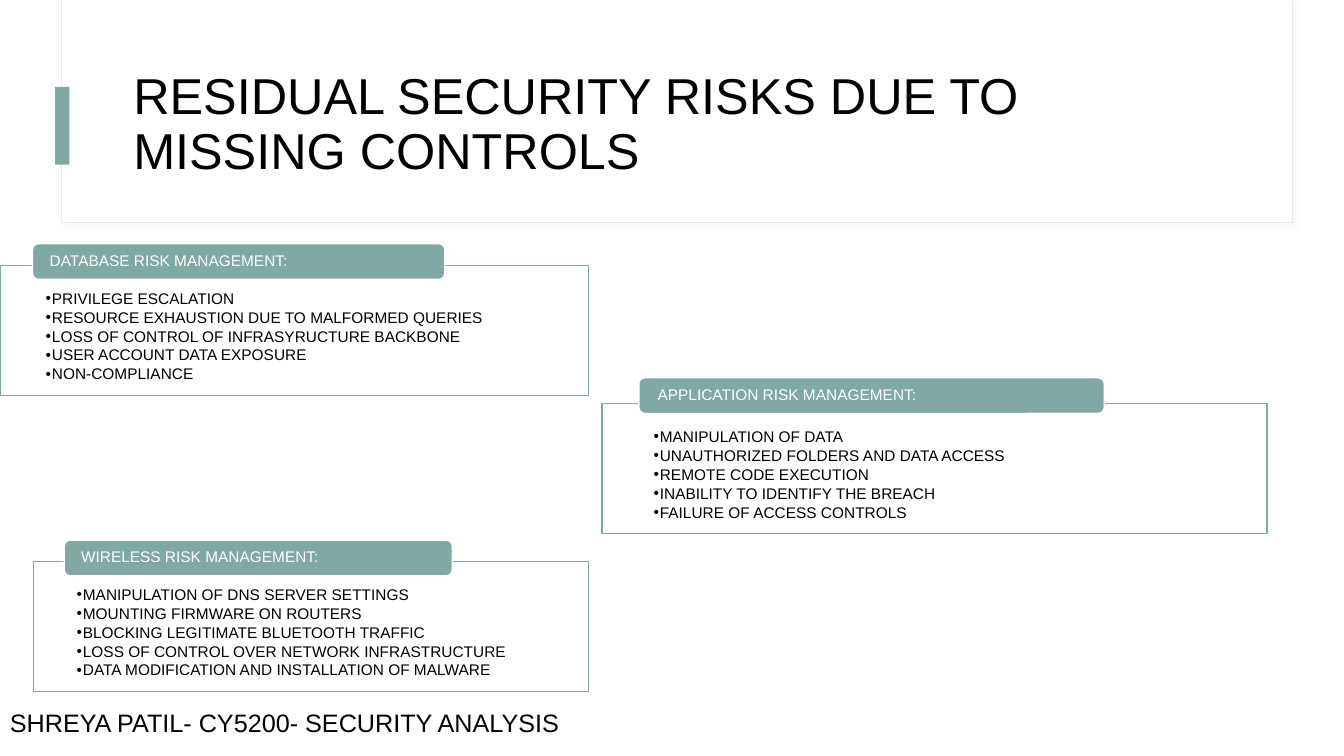
"""Build a slide on residual security risks due to missing controls."""
from lxml import etree
from pptx import Presentation
from pptx.dml.color import RGBColor
from pptx.enum.shapes import MSO_SHAPE
from pptx.enum.text import MSO_ANCHOR, PP_ALIGN
from pptx.oxml import parse_xml
from pptx.util import Cm, Pt

RECT, ROUNDED = MSO_SHAPE.RECTANGLE, MSO_SHAPE.ROUNDED_RECTANGLE
TOP, MIDDLE, LEFT = MSO_ANCHOR.TOP, MSO_ANCHOR.MIDDLE, PP_ALIGN.LEFT
NS = "http://schemas.openxmlformats.org/drawingml/2006/main"
TEAL, WHITE, BLACK, BLUSH = "80A9A4", "FFFFFF", "000000", "F0E5E8"
SHADOW = (
    f'<a:effectLst xmlns:a="{NS}"><a:outerShdw blurRad="50800" dist="38100" dir="2700000">'
    '<a:srgbClr val="D9D9D9"><a:alpha val="15000"/></a:srgbClr></a:outerShdw></a:effectLst>'
)


def add_box(kind, left, top, width, height, fill=None, line=None, weight=1):
    box = slide.shapes.add_shape(kind, Cm(left), Cm(top), Cm(width), Cm(height))
    box.shadow.inherit = False
    for part, colour in ((box.fill, fill), (box.line.fill, line)):
        if colour:
            part.solid()
            part.fore_color.rgb = RGBColor.from_string(colour)
        else:
            part.background()
    if line:
        box.line.width = Pt(weight)
    return box


def write(box, lines, size, colour, anchor, insets, spacing=0.9, after=0, bullet=False):
    frame = box.text_frame
    left, top, right, bottom = map(Cm, insets)
    frame_format = {
        "word_wrap": True, "vertical_anchor": anchor, "margin_left": left,
        "margin_top": top, "margin_right": right, "margin_bottom": bottom,
    }
    for key, value in frame_format.items():
        setattr(frame, key, value)
    for number, line in enumerate(lines):
        paragraph = frame.paragraphs[0] if number == 0 else frame.add_paragraph()
        paragraph.text = line
        paragraph_format = {"alignment": LEFT, "line_spacing": spacing, "space_after": Pt(after)}
        for key, value in paragraph_format.items():
            setattr(paragraph, key, value)
        if bullet:
            paragraph.level = 1
            properties = paragraph._p.get_or_add_pPr()
            properties.set("marL", str(Cm(0.16)))
            properties.set("indent", str(-Cm(0.16)))
            etree.SubElement(properties, f"{{{NS}}}buFont", typeface="Arial")
            etree.SubElement(properties, f"{{{NS}}}buChar", char="•")
        for font in (paragraph.font, paragraph.runs[0].font):
            for key, value in {"name": "Arial", "size": Pt(size)}.items():
                setattr(font, key, value)
            font.color.rgb = RGBColor.from_string(colour)


presentation = Presentation()
presentation.slide_width, presentation.slide_height = Cm(33.87), Cm(19.05)
slide = presentation.slides.add_slide(presentation.slide_layouts[6])

header = add_box(RECT, 1.55, 0, 31.02, 5.61, WHITE, BLUSH, 0.75)
header_properties = header._element.spPr
header_properties.remove(header_properties.find(f"{{{NS}}}effectLst"))
header_properties.append(parse_xml(SHADOW))
add_box(RECT, 1.57, 0, 30.99, 5.59, WHITE)
add_box(RECT, 1.39, 2.19, 0.36, 1.96, TEAL)

PLAIN_INSETS = (0.25, 0.13, 0.25, 0.13)
title = slide.shapes.add_textbox(Cm(3.11), Cm(1.53), Cm(28.24), Cm(3.28))
write(title, ["RESIDUAL SECURITY RISKS DUE TO MISSING CONTROLS"], 36, BLACK, MIDDLE, PLAIN_INSETS)

risk_groups = [
    ("DATABASE RISK MANAGEMENT:", (0, 6.69, 14.83), (0.82, 6.14, 10.39), (1.15, 0.39), [
        "PRIVILEGE ESCALATION",
        "RESOURCE EXHAUSTION DUE TO MALFORMED QUERIES",
        "LOSS OF CONTROL OF INFRASYRUCTURE BACKBONE",
        "USER ACCOUNT DATA EXPOSURE",
        "NON-COMPLIANCE",
    ]),
    ("APPLICATION RISK MANAGEMENT:", (15.17, 10.17, 16.76), (16.1, 9.52, 11.73), (1.3, 0.43), [
        "MANIPULATION OF DATA",
        "UNAUTHORIZED FOLDERS AND DATA ACCESS",
        "REMOTE CODE EXECUTION",
        "INABILITY TO IDENTIFY THE BREACH",
        "FAILURE OF ACCESS CONTROLS",
    ]),
    ("WIRELESS RISK MANAGEMENT:", (0.84, 14.15, 13.99), (1.62, 13.61, 9.78), (1.09, 0.38), [
        "MANIPULATION OF DNS SERVER SETTINGS",
        "MOUNTING FIRMWARE ON ROUTERS",
        "BLOCKING LEGITIMATE BLUETOOTH TRAFFIC",
        "LOSS OF CONTROL OVER NETWORK INFRASTRUCTURE",
        "DATA MODIFICATION AND INSTALLATION OF MALWARE",
    ]),
]
for heading, panel_place, label_place, (panel_inset, label_inset), risks in risk_groups:
    panel = add_box(RECT, *panel_place, 3.28, WHITE, TEAL)
    write(panel, risks, 11, BLACK, TOP, (panel_inset, 0.64, panel_inset, 0.23),
          after=1.65, bullet=True)
    label = add_box(ROUNDED, *label_place, 0.9, TEAL, WHITE)
    write(label, [heading], 11, WHITE, MIDDLE, (label_inset, 0, label_inset, 0))

author = slide.shapes.add_textbox(Cm(0), Cm(17.7), Cm(14.55), Cm(1.02))
write(author, ["SHREYA PATIL- CY5200- SECURITY ANALYSIS"], 18, BLACK, TOP, PLAIN_INSETS, spacing=1.0)

presentation.save("out.pptx")
